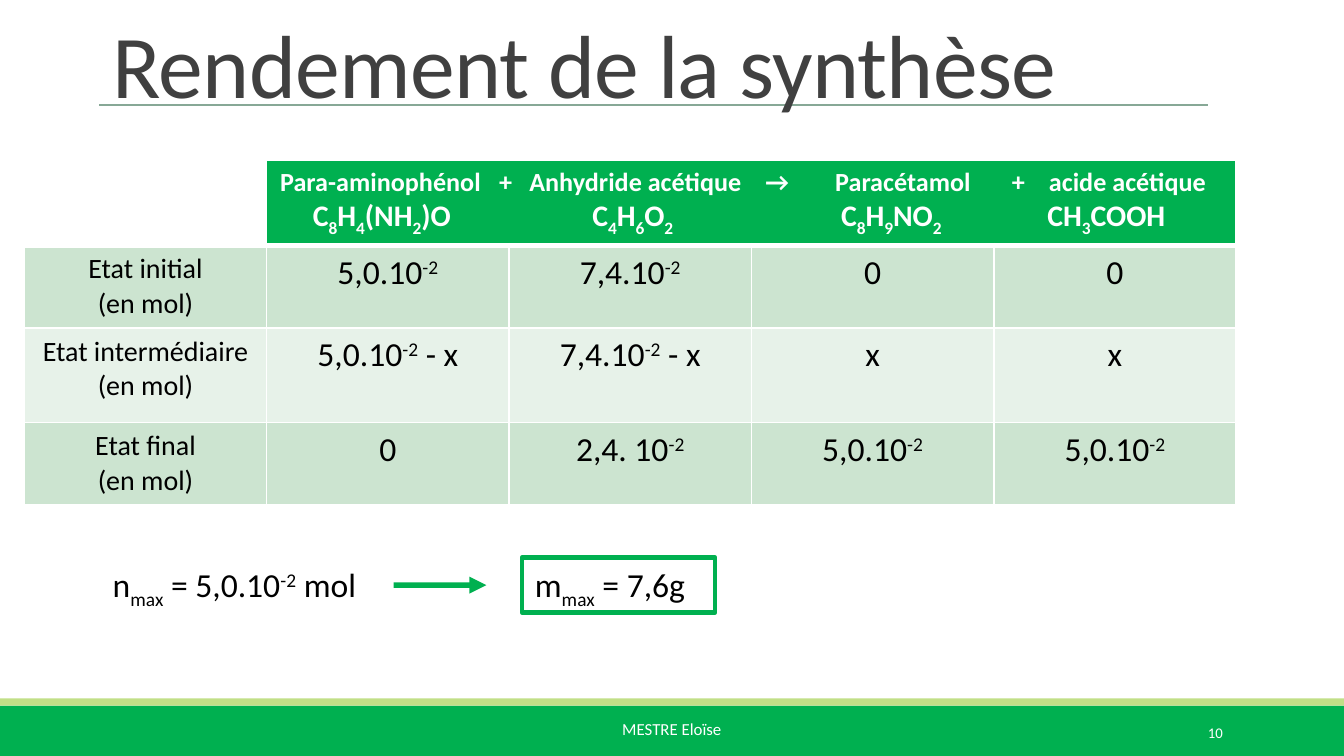
from lxml.etree import SubElement
from pptx import Presentation
from pptx.dml.color import RGBColor
from pptx.enum.shapes import MSO_CONNECTOR, MSO_SHAPE
from pptx.enum.text import MSO_ANCHOR, PP_ALIGN
from pptx.oxml import parse_xml
from pptx.oxml.ns import nsdecls, qn
from pptx.util import Cm, Pt

GREEN = RGBColor(0x00, 0xB0, 0x50)
LIME = RGBColor(0xC1, 0xDF, 0x87)
SAGE = RGBColor(0x87, 0xA8, 0x96)
MINT = RGBColor(0xCC, 0xE4, 0xD0)
PALE = RGBColor(0xE7, 0xF2, 0xE9)
GREY = RGBColor(0x40, 0x40, 0x40)
BLACK = RGBColor(0x00, 0x00, 0x00)
WHITE = RGBColor(0xFF, 0xFF, 0xFF)
SHIFTS = {"_": "-25000", "^": "30000"}


def write(frame, text, size=18, color=BLACK, bold=False, align=PP_ALIGN.LEFT,
          tabs=(), pitch=None, lead=None):
    para = frame.paragraphs[0]
    if para.runs:
        para = frame.add_paragraph()
    para.alignment = align
    if lead:
        para.line_spacing = lead
    if tabs:
        stops = SubElement(para._p.get_or_add_pPr(), qn("a:tabLst"))
        for stop in tabs:
            SubElement(stops, qn("a:tab"), pos=str(Cm(stop)), algn="l")
    for part in text.split("|"):
        shift = SHIFTS.get(part[0])
        run = para.add_run()
        run.text = part[1:] if shift else part
        font = run.font
        font.name, font.size, font.bold = "Calibri", Pt(size), bold
        font.color.rgb = color
        props = run._r.get_or_add_rPr()
        if shift:
            props.set("baseline", shift)
        if pitch:
            props.set("spc", str(pitch))


def link(x, y, end, color, width):
    line = slide.shapes.add_connector(
        MSO_CONNECTOR.STRAIGHT, Cm(x), Cm(y), Cm(end), Cm(y))
    line.line.color.rgb = color
    line.line.width = Pt(width)
    SubElement(line._element.spPr, qn("a:effectLst"))
    return line


deck = Presentation()
deck.slide_width, deck.slide_height = Cm(25.4), Cm(14.29)
slide = deck.slides.add_slide(deck.slide_layouts[6])
shapes = slide.shapes

for top, high, color in ((13.34, 0.95, GREEN), (13.2, 0.14, LIME)):
    band = shapes.add_shape(MSO_SHAPE.RECTANGLE, 0, Cm(top), Cm(25.4), Cm(high))
    band.shadow.inherit = False
    band.fill.solid()
    band.fill.fore_color.rgb = color
    band.line.fill.background()

link(1.88, 1.98, 22.83, SAGE, 1)

foot = shapes.add_textbox(Cm(11.51), Cm(13.46), Cm(2.39), Cm(0.8)).text_frame
foot.word_wrap = False
write(foot, "MESTRE Eloïse", size=9, color=WHITE)

page = shapes.add_textbox(Cm(20.62), Cm(13.46), Cm(2.74), Cm(0.76)).text_frame
page.word_wrap = True
page.vertical_anchor = MSO_ANCHOR.MIDDLE
write(page, "10", size=7.9, color=WHITE, align=PP_ALIGN.RIGHT)

title = shapes.add_textbox(Cm(1.88), Cm(0.41), Cm(20.96), Cm(1.93)).text_frame
title.word_wrap = True
title.vertical_anchor = MSO_ANCHOR.BOTTOM
write(title, "Rendement de la synthèse", size=48, color=GREY, pitch=-40, lead=0.85)

rows = (
    ("Etat initial", "5,0.10|^-2", "7,4.10|^-2", "0", "0"),
    ("Etat intermédiaire", "5,0.10|^-2| - x", "7,4.10|^-2| - x", "x", "x"),
    ("Etat final", "0", "2,4. 10|^-2", "5,0.10|^-2", "5,0.10|^-2"),
)
table = shapes.add_table(4, 5, Cm(0.46), Cm(3.02), Cm(22.9), Cm(6.49)).table
table.first_row = table.horz_banding = False
for col in table.columns:
    col.width = Cm(4.58)
for row, high in zip(table.rows, (1.58, 1.56, 1.79, 1.56)):
    row.height = Cm(high)

for r, row in enumerate(table.rows):
    for c, cell in enumerate(row.cells):
        cell.fill.solid()
        if r == 0:
            cell.fill.fore_color.rgb = GREEN if c else WHITE
        else:
            cell.fill.fore_color.rgb = MINT if r % 2 else PALE
        props = cell._tc.get_or_add_tcPr()
        for i, side in enumerate("LRTB"):
            thick = (r, side) in ((0, "B"), (1, "T"))
            props.insert(i, parse_xml(
                f'<a:ln{side} {nsdecls("a")} w="{Pt(3 if thick else 1)}">'
                f'<a:solidFill><a:srgbClr val="{WHITE}"/></a:solidFill></a:ln{side}>'))

table.cell(0, 1).merge(table.cell(0, 4))
head = table.cell(0, 1).text_frame
write(head, "Para-aminophénol\t+\tAnhydride acétique\t→\tParacétamol\t+\tacide acétique",
      size=14, color=WHITE, bold=True, tabs=(4.14, 4.71, 9.17, 10.49, 13.83, 14.53))
write(head, "\tC|_8|H|_4|(NH|_2|)O\tC|_4|H|_6|O|_2|\tC|_8|H|_9|NO|_2|\tCH|_3|COOH",
      size=16, color=WHITE, bold=True, tabs=(0.62, 5.9, 10.6, 14.5))

for r, (state, *values) in enumerate(rows, 1):
    for text in (state, "(en mol)"):
        write(table.cell(r, 0).text_frame, text, size=15, align=PP_ALIGN.CENTER)
    for c, text in enumerate(values, 1):
        write(table.cell(r, c).text_frame, text, align=PP_ALIGN.CENTER)

moles = shapes.add_textbox(Cm(1.88), Cm(10.54), Cm(5.56), Cm(1.04))
moles.text_frame.word_wrap = True
write(moles.text_frame, "n|_max| = 5,0.10|^-2| mol")

arrow = link(7.44, 11.06, 9.19, GREEN, 3)
arrow.begin_connect(moles, 3)
SubElement(arrow.line._get_or_add_ln(), qn("a:tailEnd"), type="triangle")

mass = shapes.add_shape(MSO_SHAPE.RECTANGLE, Cm(9.86), Cm(10.54), Cm(3.66), Cm(1.04))
mass.shadow.inherit = False
mass.fill.background()
mass.line.color.rgb = GREEN
mass.line.width = Pt(2.25)
mass.text_frame.vertical_anchor = MSO_ANCHOR.TOP
write(mass.text_frame, "m|_max| = 7,6g")

deck.save("out.pptx")
